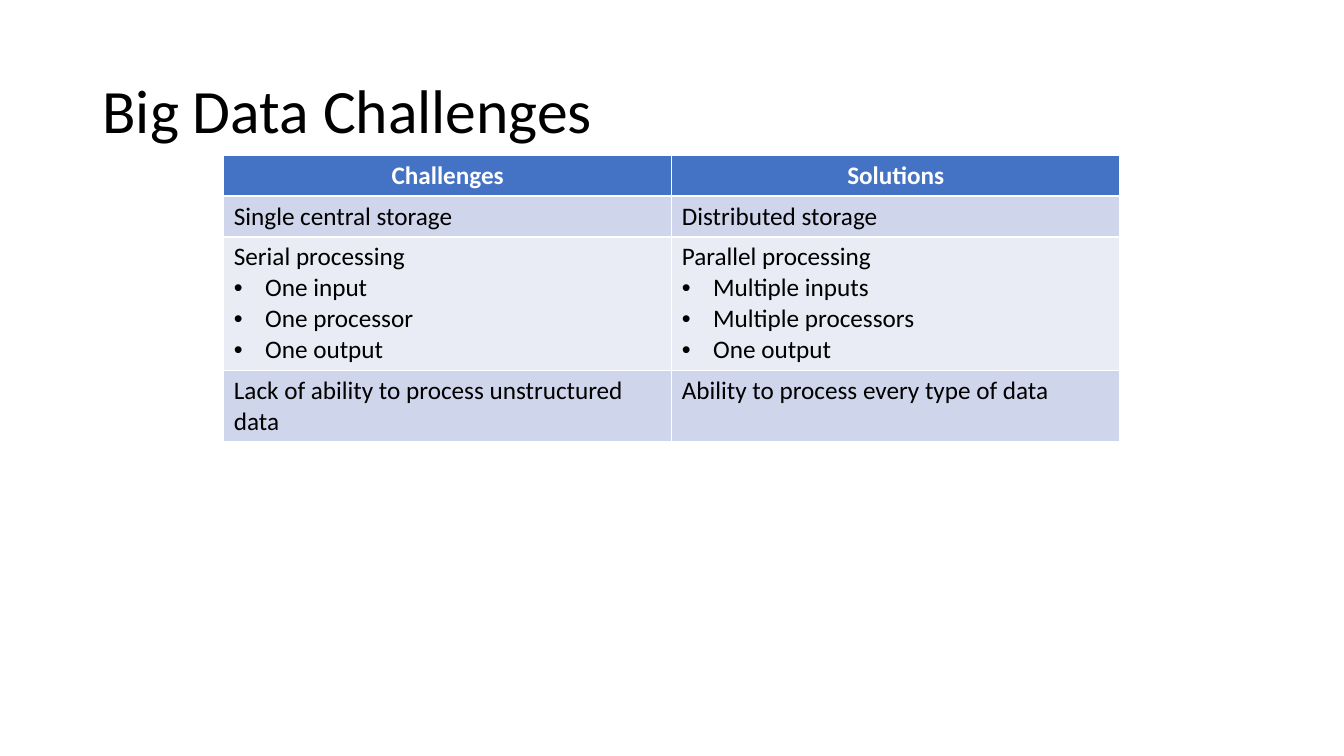
from dataclasses import dataclass

import lxml.etree
import pptx
import pptx.dml.color
import pptx.enum.text
import pptx.oxml.ns
import pptx.util
from pptx.util import Cm


@dataclass(frozen=True)
class Theme:
    font: str = "Calibri"
    title_size: int = 44
    table_size: int = 18
    text: str = "000000"
    header_text: str = "FFFFFF"
    header_fill: str = "4472C4"
    odd_fill: str = "CFD5EA"
    even_fill: str = "E9EBF5"


theme = Theme()


def format_paragraph(paragraph, size, color, bold=False):
    paragraph.font.name = theme.font
    paragraph.font.size = pptx.util.Pt(size)
    paragraph.font.bold = bold
    paragraph.font.color.rgb = pptx.dml.color.RGBColor.from_string(color)


def add_bullet(paragraph):
    properties = paragraph._p.get_or_add_pPr()
    properties.set("marL", str(Cm(0.79)))
    properties.set("indent", str(-Cm(0.79)))
    bullet_font = lxml.etree.SubElement(properties, pptx.oxml.ns.qn("a:buFont"))
    bullet_font.set("typeface", "Arial")
    bullet = lxml.etree.SubElement(properties, pptx.oxml.ns.qn("a:buChar"))
    bullet.set("char", "•")


presentation = pptx.Presentation()
presentation.slide_width = Cm(33.87)
presentation.slide_height = Cm(19.05)
slide = presentation.slides.add_slide(presentation.slide_layouts[5])

title = slide.shapes.title
title.left, title.top, title.width, title.height = Cm(2.33), Cm(1.01), Cm(29.21), Cm(3.68)
title.text_frame.text = "Big Data Challenges"
title.text_frame.vertical_anchor = pptx.enum.text.MSO_ANCHOR.MIDDLE
title_paragraph = title.text_frame.paragraphs[0]
title_paragraph.alignment = pptx.enum.text.PP_ALIGN.LEFT
title_paragraph.line_spacing = 0.9
format_paragraph(title_paragraph, theme.title_size, theme.text)

rows = [
    (1.03, ["Challenges"], ["Solutions"]),
    (1.03, ["Single central storage"], ["Distributed storage"]),
    (
        3.36,
        ["Serial processing", "One input", "One processor", "One output"],
        ["Parallel processing", "Multiple inputs", "Multiple processors", "One output"],
    ),
    (
        1.78,
        ["Lack of ability to process unstructured data"],
        ["Ability to process every type of data"],
    ),
]
table_height = Cm(sum(row[0] for row in rows))
table = slide.shapes.add_table(
    len(rows), 2, Cm(5.64), Cm(3.91), Cm(22.58), table_height
).table

for row_index, (height, *cells) in enumerate(rows):
    table.rows[row_index].height = Cm(height)
    is_header = row_index == 0
    body_fill = theme.odd_fill if row_index % 2 else theme.even_fill
    fill_color = theme.header_fill if is_header else body_fill
    text_color = theme.header_text if is_header else theme.text
    for column_index, lines in enumerate(cells):
        cell = table.cell(row_index, column_index)
        cell.fill.solid()
        cell.fill.fore_color.rgb = pptx.dml.color.RGBColor.from_string(fill_color)
        cell.text_frame.text = "\n".join(lines)
        for line_index, paragraph in enumerate(cell.text_frame.paragraphs):
            if line_index > 0:
                add_bullet(paragraph)
            if is_header:
                paragraph.alignment = pptx.enum.text.PP_ALIGN.CENTER
            format_paragraph(paragraph, theme.table_size, text_color, is_header)

presentation.save("out.pptx")
